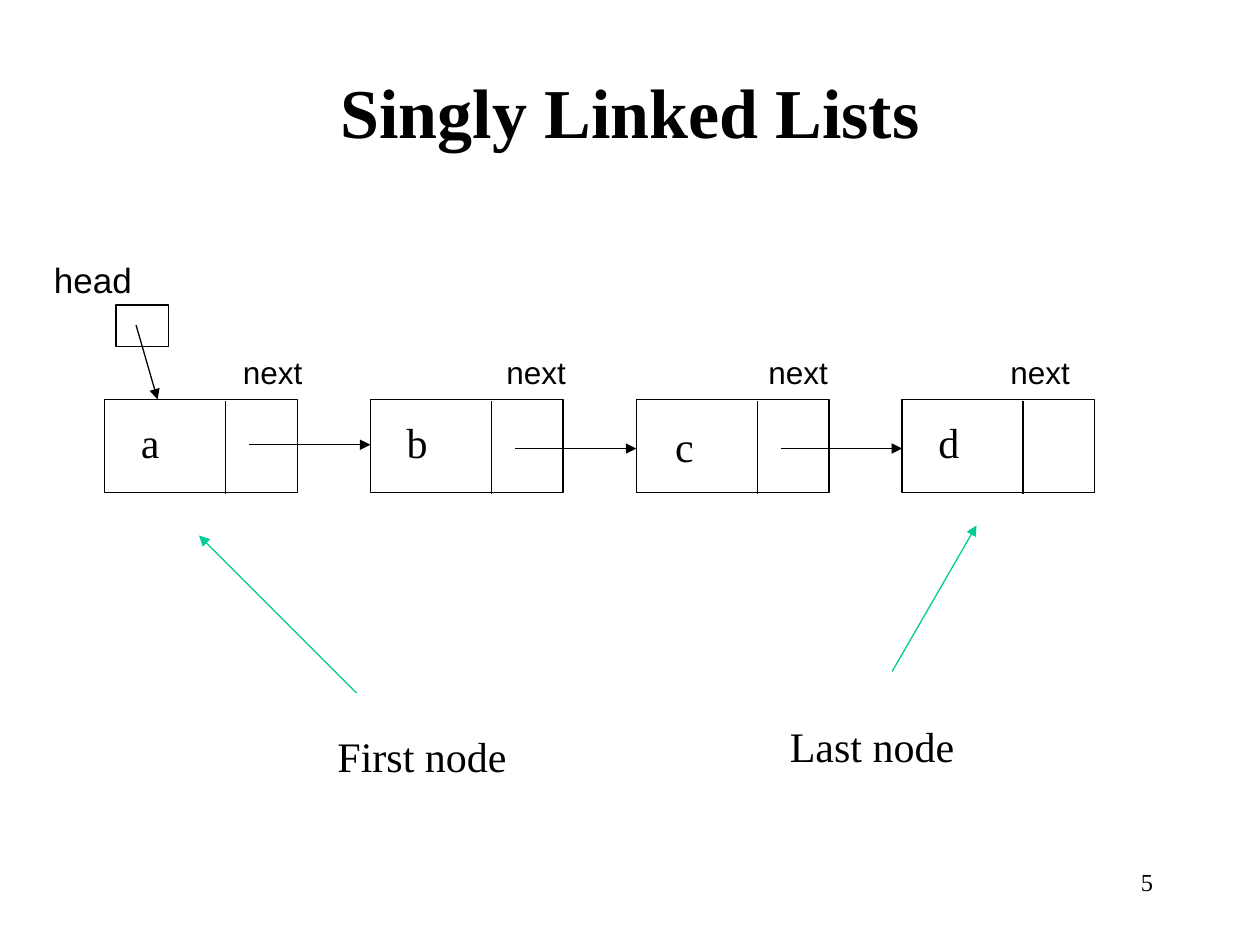
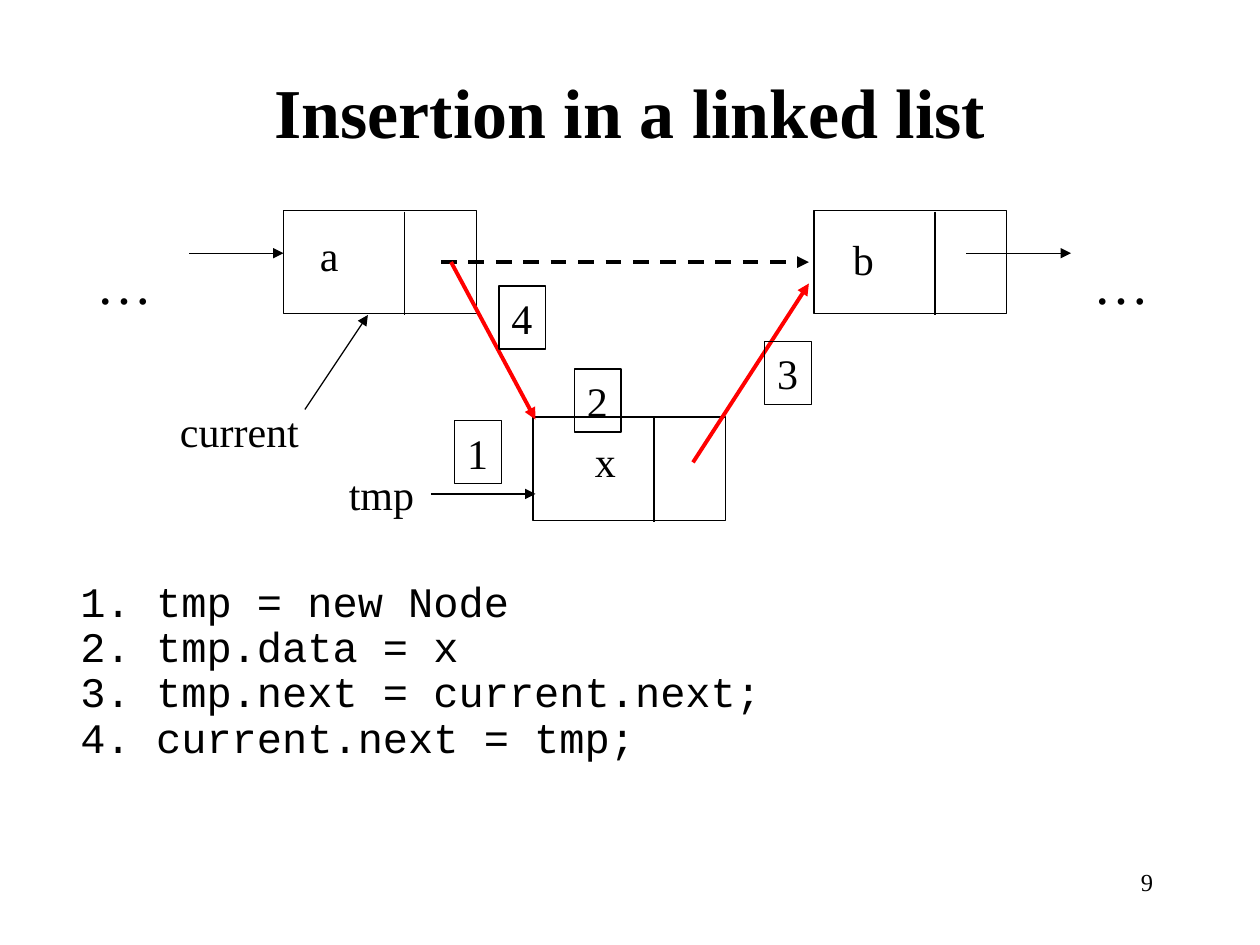
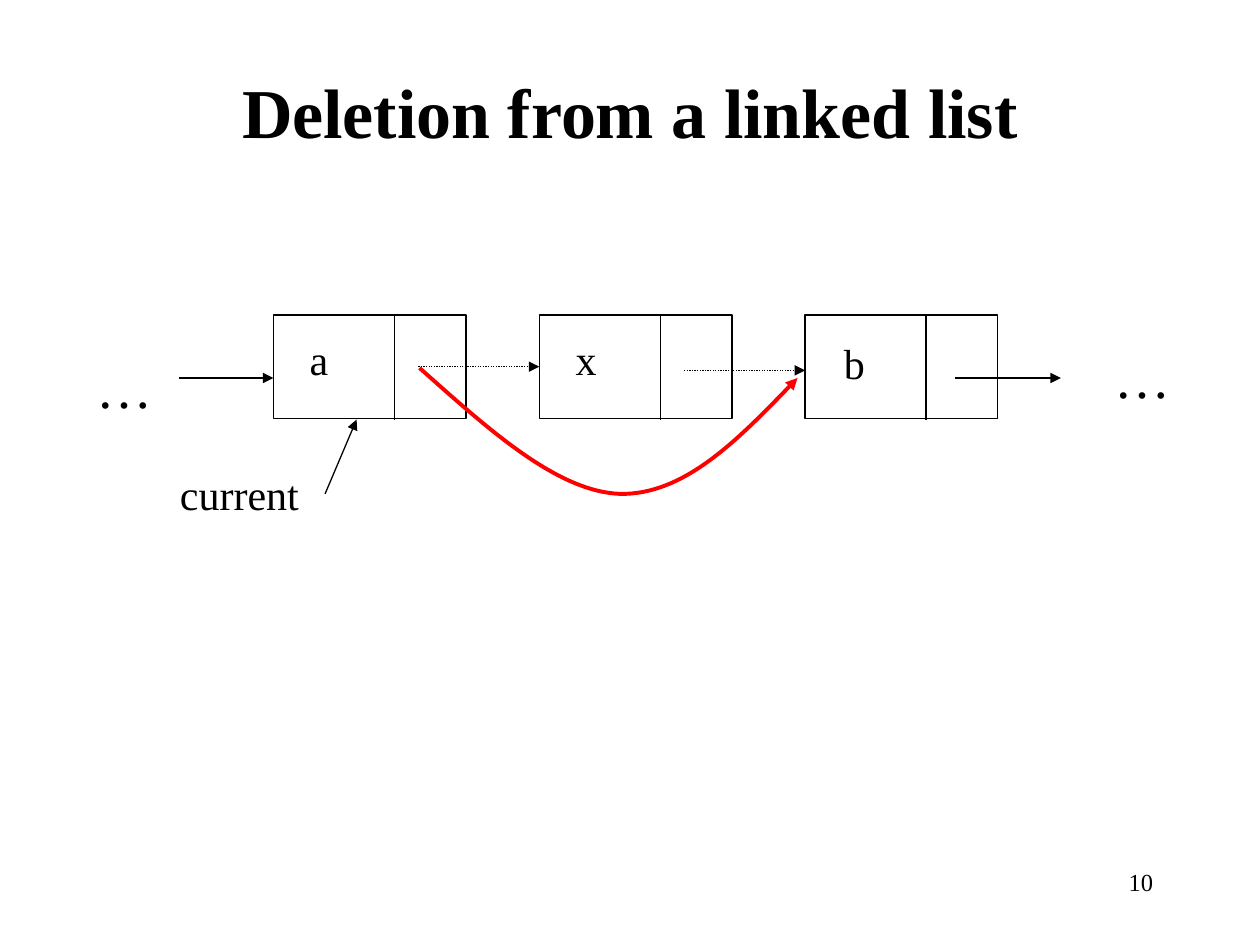
from collections import namedtuple

from lxml import etree
from pptx import Presentation
from pptx import util as u
from pptx.dml.color import RGBColor
from pptx.enum import dml, shapes, text
from pptx.oxml.ns import qn

PX = 9144
BLACK = RGBColor(0, 0, 0)
WHITE = RGBColor(255, 255, 255)
RED = RGBColor(255, 0, 0)
GREEN = RGBColor(0, 204, 153)
SERIF, SANS, MONO = "Times New Roman", "Arial", "Courier New"
LEFT, CENTER, RIGHT = text.PP_ALIGN.LEFT, text.PP_ALIGN.CENTER, text.PP_ALIGN.RIGHT
THIN, THICK = 0.75, 2.25
NODE_W, NODE_STEP, DIVIDER = 153, 211, 96

Box = namedtuple("Box", "x y w h")


def emu(*lengths):
    return [u.Emu(length * PX) for length in lengths]


def fill_text(frame, lines, size=24, font=SERIF, align=LEFT, bold=False, spacing=None):
    for i, line in enumerate(lines):
        paragraph = frame.paragraphs[0] if i == 0 else frame.add_paragraph()
        paragraph.alignment = align
        paragraph.line_spacing = spacing
        run = paragraph.add_run()
        run.text = line
        run.font.size = u.Pt(size)
        run.font.name = font
        run.font.bold = bold
        run.font.color.rgb = BLACK


def label(slide, box, *lines, **style):
    frame = slide.shapes.add_textbox(*emu(*box)).text_frame
    frame.word_wrap = True
    fill_text(frame, lines, **style)


def rectangle(slide, box, fill=None):
    outline = slide.shapes.add_shape(shapes.MSO_SHAPE.RECTANGLE, *emu(*box))
    outline.shadow.inherit = False
    if fill is None:
        outline.fill.background()
    else:
        outline.fill.solid()
        outline.fill.fore_color.rgb = fill
    outline.line.color.rgb = BLACK
    outline.line.width = u.Pt(THIN)
    return outline


def stroke(line_shape, color, width, dash=None, arrow=True):
    line_shape.line.color.rgb = color
    line_shape.line.width = u.Pt(width)
    if dash:
        line_shape.line.dash_style = dash
    properties = line_shape.element.spPr
    if arrow:
        etree.SubElement(properties.find(qn("a:ln")), qn("a:tailEnd"), type="triangle")


def segment(slide, start, end, color=BLACK, width=THIN, dash=None, arrow=True):
    link = slide.shapes.add_connector(
        shapes.MSO_CONNECTOR.STRAIGHT, *emu(*start, *end))
    stroke(link, color, width, dash, arrow)
    etree.SubElement(link.element.spPr, qn("a:effectLst"))


def curve(slide, start, controls, color, width):
    builder = slide.shapes.build_freeform(*start, scale=PX)
    builder.add_line_segments(controls, close=False)
    bypass = builder.convert_to_shape()
    bypass.shadow.inherit = False
    bypass.fill.background()
    stroke(bypass, color, width)
    straight = list(bypass.element.iter(qn("a:lnTo")))
    for i in range(0, len(straight), 3):
        bezier = etree.Element(qn("a:cubicBezTo"))
        straight[i].addprevious(bezier)
        for piece in straight[i:i + 3]:
            bezier.append(piece[0])
            piece.getparent().remove(piece)


def node(slide, box, value, shift=(0, 0), align=LEFT):
    rectangle(slide, box, WHITE)
    middle = box.x + DIVIDER
    segment(slide, (middle, box.y + 1), (middle, box.y + box.h + 1), arrow=False)
    value_h = box.h * 3 // 4
    value_box = Box(box.x + 19 + shift[0], box.y + (box.h - value_h) // 2 + shift[1],
                    77, value_h)
    label(slide, value_box, value, align=align)


def node_row(slide, box, values, shifted):
    nodes = [Box(box.x + i * NODE_STEP, box.y, NODE_W, box.h)
             for i in range(len(values))]
    for place, value in zip(nodes, values):
        node(slide, place, value, (2, 3) if value == shifted else (0, 0))
    return nodes


def next_links(slide, nodes, drops, dash=None):
    for source, target, drop in zip(nodes, nodes[1:], drops):
        y = source.y + drop
        segment(slide, (source.x + 115, y), (target.x, y), dash=dash)


def step_tag(slide, x, y, number):
    frame = rectangle(slide, Box(x, y, 37, 50)).text_frame
    frame.word_wrap = False
    frame.vertical_anchor = text.MSO_ANCHOR.TOP
    fill_text(frame, [number])


def ellipsis(slide, x, y):
    label(slide, Box(x, y, 83, 63), "…", size=32)


def titled_slide(deck, heading, number):
    slide = deck.slides.add_slide(deck.slide_layouts[5])
    title = slide.shapes.title
    title.left, title.top, title.width, title.height = emu(75, 50, 850, 75)
    frame = title.text_frame
    frame.word_wrap = True
    frame.auto_size = text.MSO_AUTO_SIZE.NONE
    frame.vertical_anchor = text.MSO_ANCHOR.MIDDLE
    fill_text(frame, [heading], size=40, align=CENTER, bold=True)
    label(slide, Box(717, 683, 208, 50), number, size=14, align=RIGHT)
    return slide


def head_pointer(slide, box):
    label(slide, Box(box.x - 59, box.y - 42, 275, 43), "head", size=20, font=SANS)
    rectangle(slide, box)
    segment(slide, (box.x + 16, box.y + 16), (box.x + 33, box.y + 75))


def singly_linked(deck):
    slide = titled_slide(deck, "Singly Linked Lists", "5")
    segment(slide, (283, 550), (158, 425), GREEN)
    segment(slide, (708, 533), (775, 417), GREEN)
    label(slide, Box(258, 575, 192, 50), "First node")
    label(slide, Box(617, 567, 217, 50), "Last node")
    nodes = node_row(slide, Box(83, 317, 785, 74), "abcd", "c")
    next_links(slide, nodes, (36, 39, 39))
    head_pointer(slide, Box(92, 242, 42, 33))
    for x in (183, 392, 600, 792):
        label(slide, Box(x, 275, 92, 40), "next", size=18, font=SANS)


def insertion(deck):
    slide = titled_slide(deck, "Insertion in a linked list", "9")
    node(slide, Box(225, 167, NODE_W, 82), "a")
    node(slide, Box(646, 167, NODE_W, 82), "b", (2, 3))
    segment(slide, (350, 208), (642, 208), width=THICK, dash=dml.MSO_LINE.DASH)
    segment(slide, (150, 201), (225, 201))
    segment(slide, (767, 201), (850, 201))
    ellipsis(slide, 67, 192)
    ellipsis(slide, 858, 192)
    node(slide, Box(423, 331, NODE_W, 82), "x", align=CENTER)
    segment(slide, (242, 325), (292, 250))
    segment(slide, (342, 392), (425, 392))
    label(slide, Box(133, 317, 150, 50), "current")
    label(slide, Box(267, 367, 158, 50), "tmp")
    segment(slide, (358, 208), (425, 333), RED, THICK)
    segment(slide, (550, 367), (642, 225), RED, THICK)
    label(slide, Box(54, 456, 892, 157),
          "1. tmp = new Node",
          "2. tmp.data = x",
          "3. tmp.next = current.next;",
          "4. current.next = tmp;",
          font=MONO, spacing=0.9)
    tag_places = ((361, 334), (456, 293), (607, 271), (396, 227))
    for number, (x, y) in enumerate(tag_places, 1):
        step_tag(slide, x, y, str(number))


def deletion(deck):
    slide = titled_slide(deck, "Deletion from a linked list", "10")
    nodes = node_row(slide, Box(217, 250, 574, 82), "axb", "b")
    next_links(slide, nodes, (41, 44), dml.MSO_LINE.ROUND_DOT)
    segment(slide, (142, 300), (217, 300))
    segment(slide, (758, 300), (842, 300))
    ellipsis(slide, 67, 275)
    ellipsis(slide, 875, 267)
    curve(slide, (333, 292),
          [(388, 341), (442, 390), (492, 392), (542, 393), (588, 347), (633, 300)],
          RED, THICK)
    label(slide, Box(133, 367, 150, 50), "current")
    segment(slide, (258, 392), (283, 333))


def main():
    deck = Presentation()
    deck.slide_width, deck.slide_height = emu(1000, 750)
    singly_linked(deck)
    insertion(deck)
    deletion(deck)
    deck.save("out.pptx")


if __name__ == "__main__":
    main()
